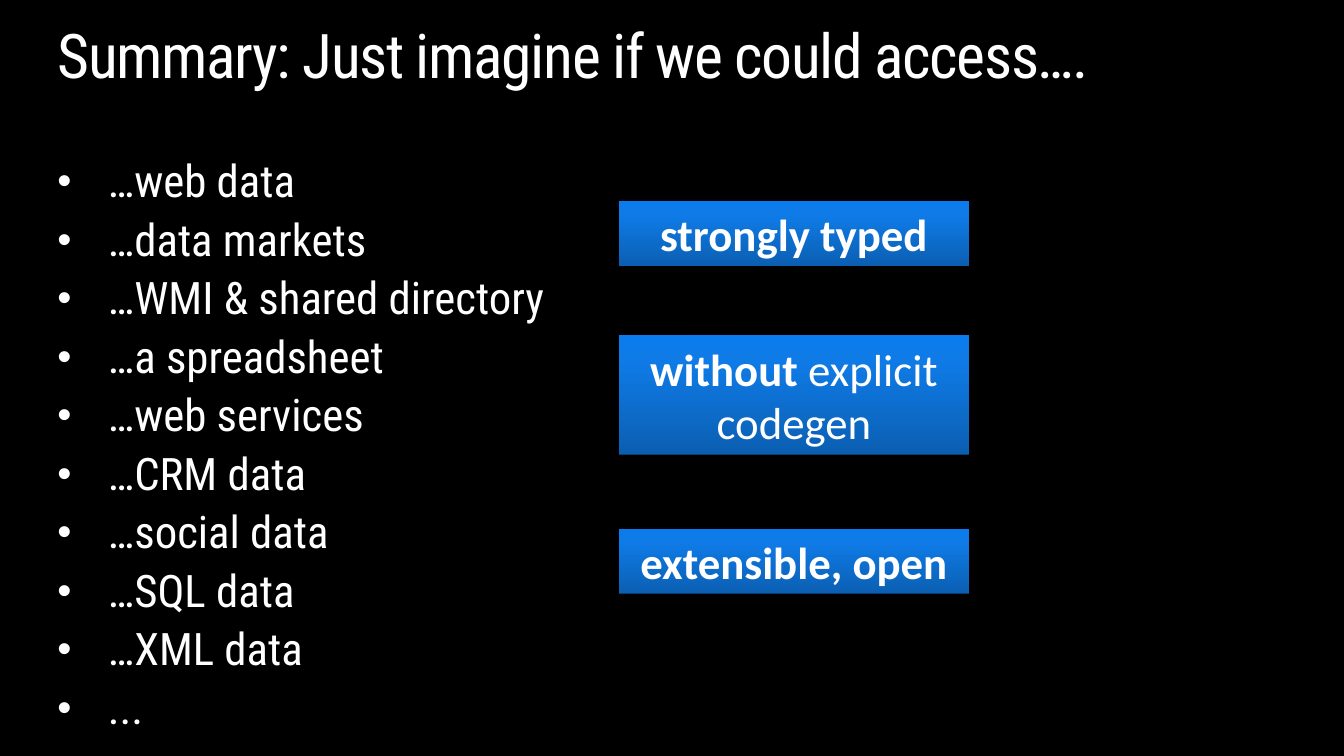
from copy import deepcopy

from lxml import etree
from pptx import Presentation
from pptx.dml.color import RGBColor
from pptx.enum.shapes import MSO_SHAPE
from pptx.enum.text import MSO_ANCHOR, PP_ALIGN
from pptx.oxml.ns import qn
from pptx.util import Inches, Pt

CALLOUT = MSO_SHAPE.RECTANGULAR_CALLOUT
TOP, MIDDLE = MSO_ANCHOR.TOP, MSO_ANCHOR.MIDDLE
LEFT, CENTER = PP_ALIGN.LEFT, PP_ALIGN.CENTER
WIDTH, HEIGHT = 13.33, 7.5
MARGIN, CONTENT_WIDTH = 0.57, 12.19
CALLOUT_LEFT, CALLOUT_WIDTH = 6.14, 3.47
LINE_HEIGHT, PADDING = 0.54, 0.05
BLACK, WHITE = "000000", "FFFFFF"
HEADING_FONT, CALLOUT_FONT = "Roboto Condensed", "Calibri"
GRADIENT = [(0, "0B5FB2"), (0.8, "0F7BE7"), (1, "0B7CED")]

TITLE = "Summary: Just imagine if we could access…."
SOURCES = [
    "…web data", "…data markets", "…WMI & shared directory", "…a spreadsheet",
    "…web services", "…CRM data", "…social data", "…SQL data", "…XML data", "...",
]
CALLOUTS = [
    (2, 1, [("strongly typed", True)]),
    (3.33, 2, [("without ", True), ("explicit codegen", False)]),
    (5.25, 1, [("extensible, open", True)]),
]


def colour(value):
    return RGBColor.from_string(value)


def apply(target, values):
    for name, value in values.items():
        setattr(target, name, value)


def set_frame(frame, anchor, side=0, edge=0):
    apply(frame, {
        "word_wrap": True, "vertical_anchor": anchor,
        "margin_left": Inches(side), "margin_right": Inches(side),
        "margin_top": Inches(edge), "margin_bottom": Inches(edge),
    })


def add_span(para, text, size, font, bold=False):
    span = para.add_run()
    span.text = text
    apply(span.font, {"size": Pt(size), "name": font, "bold": bold})
    span.font.color.rgb = colour(WHITE)
    return span


def add_bullet(para):
    properties = para._p.get_or_add_pPr()
    properties.set("marL", str(Inches(0.5)))
    properties.set("indent", str(-Inches(0.5)))
    for tag, name, value in [("a:buSzPct", "val", "90000"),
                             ("a:buFont", "typeface", "Arial"),
                             ("a:buChar", "char", "•")]:
        etree.SubElement(properties, qn(tag)).set(name, value)


def add_text_box(page, box):
    frame = page.shapes.add_textbox(*map(Inches, box)).text_frame
    set_frame(frame, TOP)
    return frame


def add_title(page, box):
    para = add_text_box(page, box).paragraphs[0]
    apply(para, {"alignment": LEFT, "line_spacing": 0.9})
    span = add_span(para, TITLE, 44, HEADING_FONT)
    span._r.get_or_add_rPr().set("spc", "-100")


def add_source_list(page, box):
    frame = add_text_box(page, box)
    for index, source in enumerate(SOURCES):
        para = frame.add_paragraph() if index else frame.paragraphs[0]
        add_bullet(para)
        apply(para, {"alignment": LEFT, "line_spacing": 0.9,
                     "space_before": Pt(7.2 if index else 0)})
        add_span(para, source, 32, HEADING_FONT)


def fill_gradient(shape):
    shape.fill.gradient()
    shape.fill.gradient_angle = 90
    stops = shape._element.spPr.find(qn("a:gradFill")).find(qn("a:gsLst"))
    stops.append(deepcopy(stops[-1]))
    for stop, (position, value) in zip(shape.fill.gradient_stops, GRADIENT):
        stop.position = position
        stop.color.rgb = colour(value)


def add_shadow(shape):
    shape.shadow.inherit = False
    effects = shape._element.spPr.find(qn("a:effectLst"))
    shadow = etree.SubElement(effects, qn("a:outerShdw"), {
        "blurRad": str(Pt(3.1)), "dist": str(Pt(1.8)),
        "dir": "5400000", "rotWithShape": "0",
    })
    tint = etree.SubElement(shadow, qn("a:srgbClr"), val=BLACK)
    etree.SubElement(tint, qn("a:alpha"), val="35000")


def add_callout(page, box, spans):
    shape = page.shapes.add_shape(CALLOUT, *map(Inches, box))
    shape.adjustments[0], shape.adjustments[1] = -0.273, -0.505
    fill_gradient(shape)
    shape.line.fill.background()
    add_shadow(shape)
    set_frame(shape.text_frame, MIDDLE, 0.1, PADDING)
    para = shape.text_frame.paragraphs[0]
    para.alignment = CENTER
    for text, bold in spans:
        add_span(para, text, 32, CALLOUT_FONT, bold)


def build_summary(deck):
    page = deck.slides.add_slide(deck.slide_layouts[6])
    page.background.fill.solid()
    page.background.fill.fore_color.rgb = colour(BLACK)
    add_title(page, (MARGIN, 0.25, CONTENT_WIDTH, 0.67))
    add_source_list(page, (MARGIN, 1.58, CONTENT_WIDTH, 6.41))
    for top, lines, spans in CALLOUTS:
        height = lines * LINE_HEIGHT + 2 * PADDING
        add_callout(page, (CALLOUT_LEFT, top, CALLOUT_WIDTH, height), spans)


def main():
    deck = Presentation()
    apply(deck, {"slide_width": Inches(WIDTH), "slide_height": Inches(HEIGHT)})
    build_summary(deck)
    deck.save("out.pptx")


if __name__ == "__main__":
    main()
